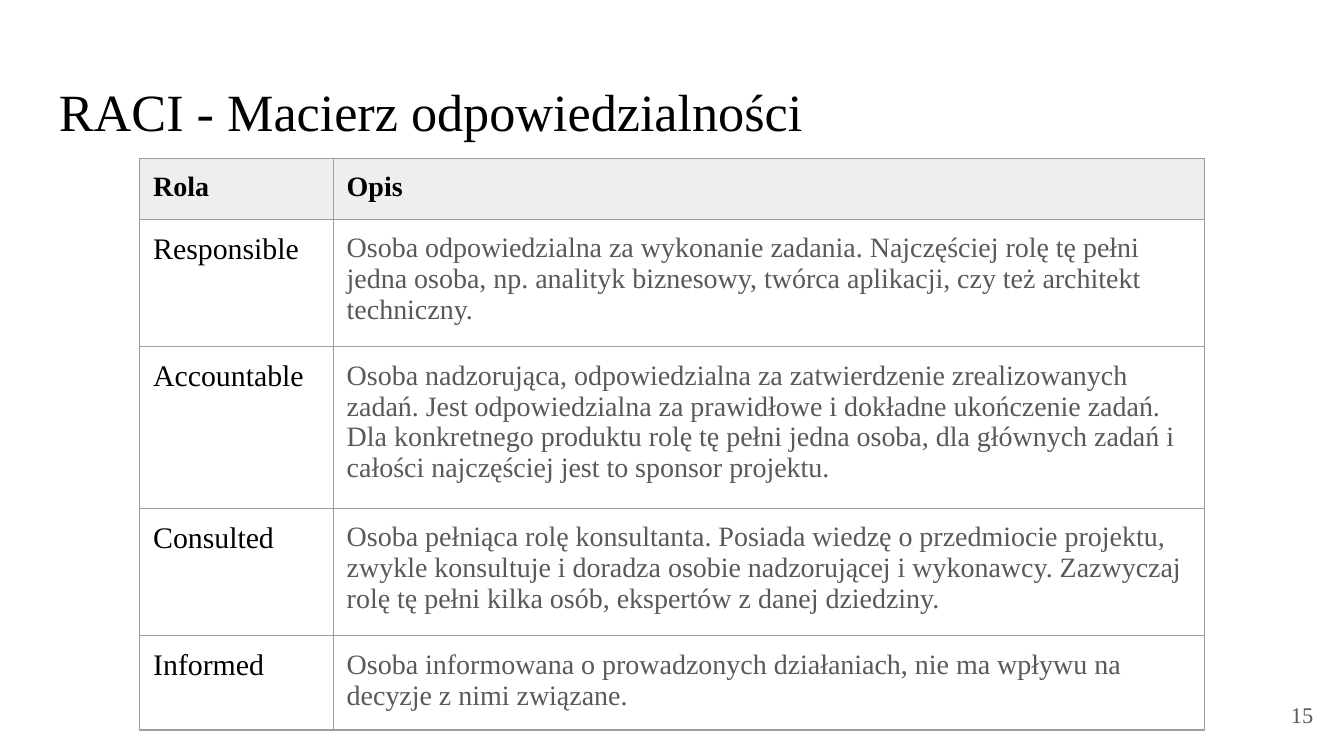
from dataclasses import dataclass

from lxml.etree import SubElement
from pptx import Presentation
from pptx.dml.color import RGBColor
from pptx.enum.text import MSO_ANCHOR as Anchor, PP_ALIGN as Align
from pptx.oxml.ns import qn
from pptx.util import Inches, Pt


@dataclass(frozen=True)
class Style:
    size: float
    color: str
    bold: bool = False


@dataclass(frozen=True)
class Theme:
    font: str = "Times New Roman"
    border: str = "9E9E9E"
    border_width: float = 0.75
    header_fill: str = "EEEEEE"
    inset: float = 0.1
    title: Style = Style(28, "000000")
    header: Style = Style(15, "000000", True)
    role: Style = Style(16, "000000")
    description: Style = Style(15, "595959")
    number: Style = Style(12, "595959")


@dataclass(frozen=True)
class Row:
    role: str
    description: str


THEME = Theme()
COLUMN_WIDTHS = (1.44, 6.48)
ROW_HEIGHT = 0.42
MATRIX_BOX = (1.04, 1.18, 3.28, 3.28)
ROWS = (
    Row("Rola", "Opis"),
    Row("Responsible",
        "Osoba odpowiedzialna za wykonanie zadania. Najczęściej rolę tę pełni "
        "jedna osoba, np. analityk biznesowy, twórca aplikacji, czy też architekt "
        "techniczny."),
    Row("Accountable",
        "Osoba nadzorująca, odpowiedzialna za zatwierdzenie zrealizowanych zadań. "
        "Jest odpowiedzialna za prawidłowe i dokładne ukończenie zadań. Dla "
        "konkretnego produktu rolę tę pełni jedna osoba, dla głównych zadań i "
        "całości najczęściej jest to sponsor projektu."),
    Row("Consulted",
        "Osoba pełniąca rolę konsultanta. Posiada wiedzę o przedmiocie projektu, "
        "zwykle konsultuje i doradza osobie nadzorującej i wykonawcy. Zazwyczaj "
        "rolę tę pełni kilka osób, ekspertów z danej dziedziny."),
    Row("Informed",
        "Osoba informowana o prowadzonych działaniach, nie ma wpływu na decyzje "
        "z nimi związane."),
)


def write(frame, text: str, style: Style, align: Align = Align.LEFT) -> None:
    frame.text = text
    frame.word_wrap = True
    paragraph = frame.paragraphs[0]
    paragraph.alignment = align
    for run in paragraph.runs:
        run.font.name = THEME.font
        run.font.size = Pt(style.size)
        run.font.bold = style.bold
        run.font.color.rgb = RGBColor.from_string(style.color)


def set_margins(holder) -> None:
    for side in ("left", "top", "right", "bottom"):
        setattr(holder, f"margin_{side}", Inches(THEME.inset))


def add_label(slide, box: tuple[float, ...], text: str, style: Style,
              align: Align = Align.LEFT, anchor: Anchor = Anchor.TOP) -> None:
    frame = slide.shapes.add_textbox(*map(Inches, box)).text_frame
    set_margins(frame)
    frame.vertical_anchor = anchor
    write(frame, text, style, align)


def add_borders(cell) -> None:
    properties = cell._tc.get_or_add_tcPr()
    for index, side in enumerate(("lnL", "lnR", "lnT", "lnB")):
        line = SubElement(properties, qn(f"a:{side}"), w=str(Pt(THEME.border_width)))
        fill = SubElement(line, qn("a:solidFill"))
        SubElement(fill, qn("a:srgbClr"), val=THEME.border)
        properties.insert(index, line)


def fill_cell(cell, text: str, style: Style, is_header: bool) -> None:
    set_margins(cell)
    write(cell.text_frame, text, style)
    if is_header:
        cell.fill.solid()
        cell.fill.fore_color.rgb = RGBColor.from_string(THEME.header_fill)
    else:
        cell.fill.background()
    add_borders(cell)


def add_matrix(slide, box: tuple[float, ...]) -> None:
    holder = slide.shapes.add_table(len(ROWS), len(COLUMN_WIDTHS), *map(Inches, box))
    matrix = holder.table
    matrix.horz_banding = False
    for column, column_width in zip(matrix.columns, COLUMN_WIDTHS):
        column.width = Inches(column_width)
    for index, row in enumerate(ROWS):
        matrix.rows[index].height = Inches(ROW_HEIGHT)
        is_header = index == 0
        styles = (THEME.header,) * 2 if is_header else (THEME.role, THEME.description)
        for column, (text, style) in enumerate(zip((row.role, row.description), styles)):
            fill_cell(matrix.cell(index, column), text, style, is_header)
    holder.width, holder.height = map(Inches, box[2:])


def main() -> None:
    deck = Presentation()
    deck.slide_width = Inches(10)
    deck.slide_height = Inches(10 * 9 / 16)
    slide = deck.slides.add_slide(deck.slide_layouts[6])
    add_label(slide, (0.34, 0.49, 9.32, 0.63), "RACI - Macierz odpowiedzialności", THEME.title)
    add_label(slide, (9.27, 5.1, 0.6, 0.43), "15", THEME.number, Align.RIGHT, Anchor.MIDDLE)
    add_matrix(slide, MATRIX_BOX)
    deck.save("out.pptx")


if __name__ == "__main__":
    main()
